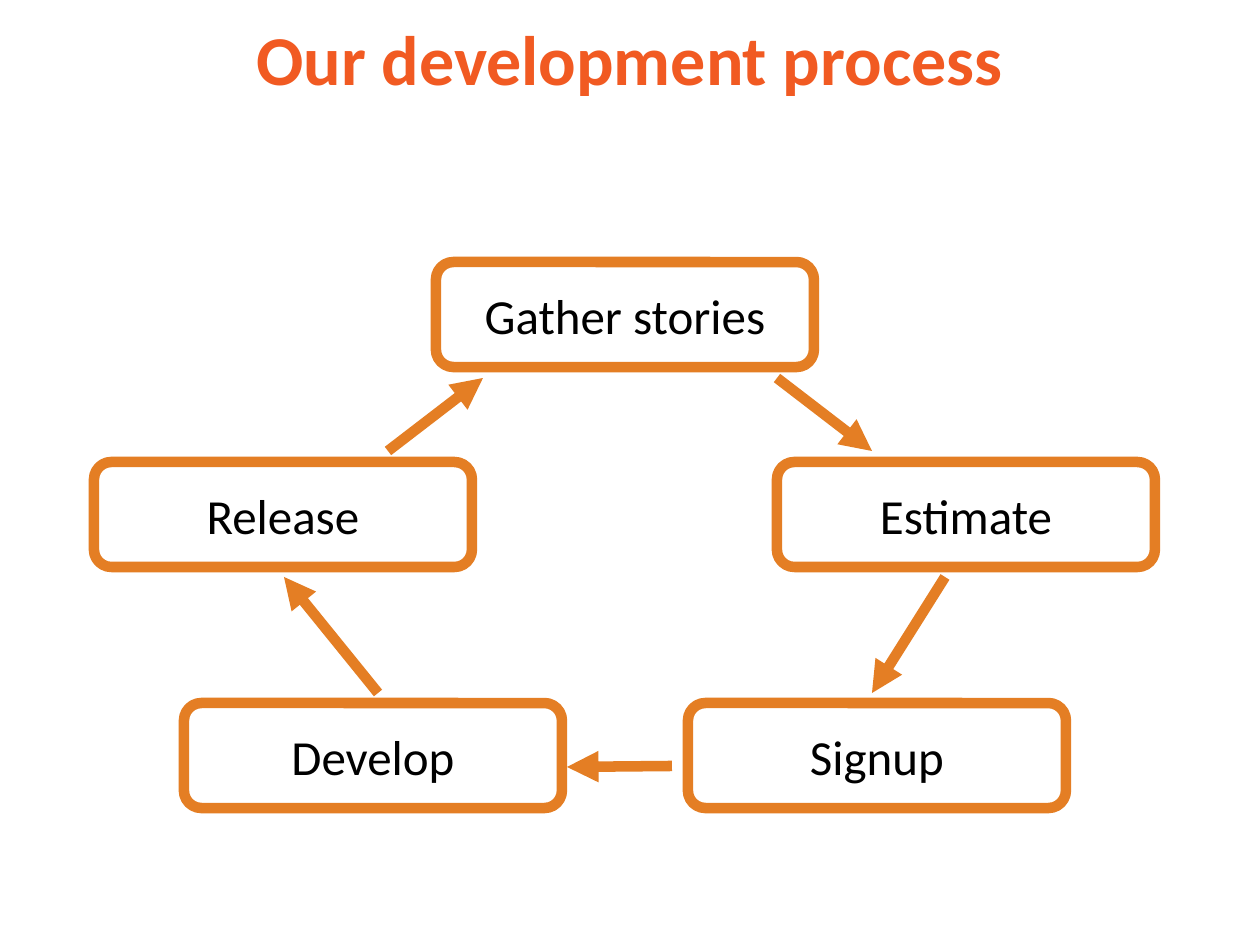
from lxml.etree import SubElement
from pptx import Presentation
from pptx.dml.color import RGBColor
from pptx.enum.shapes import MSO_CONNECTOR, MSO_SHAPE
from pptx.enum.text import MSO_ANCHOR, PP_ALIGN
from pptx.oxml.ns import qn
from pptx.util import Emu, Inches, Pt

TITLE_COLOR = RGBColor(0xF1, 0x5A, 0x22)
ORANGE = RGBColor(0xE4, 0x7E, 0x24)
BLACK = RGBColor(0x00, 0x00, 0x00)
PX_PER_INCH = 126
STEP_W, STEP_H = 378, 105
STEPS = [
    ("Gather stories", 436, 262),
    ("Estimate", 777, 462),
    ("Signup", 688, 703),
    ("Develop", 184, 703),
    ("Release", 94, 462),
]
ARROWS = [
    (777, 378, 872, 451),
    (945, 577, 872, 693),
    (672, 766, 567, 767),
    (378, 693, 284, 577),
    (388, 451, 483, 378),
]


def px(n):
    """Convert pixels to EMU."""
    return Emu(round(n * Inches(1) / PX_PER_INCH))


def set_attrs(target, values):
    """Set every named attribute on the target."""
    for name, value in values.items():
        setattr(target, name, value)


def set_text(shape, text, size, color, bold, margins, wrap):
    """Write one centred line of text into the shape."""
    tf = shape.text_frame
    tf.text = text
    mx, my = px(margins[0]), px(margins[1])
    set_attrs(tf, {"word_wrap": wrap, "vertical_anchor": MSO_ANCHOR.MIDDLE,
                   "margin_left": mx, "margin_right": mx,
                   "margin_top": my, "margin_bottom": my})
    p = tf.paragraphs[0]
    p.alignment = PP_ALIGN.CENTER
    font = p.runs[0].font
    set_attrs(font, {"name": "Calibri", "size": Pt(size), "bold": bold})
    font.color.rgb = color


def set_line(line):
    """Apply the thick orange stroke."""
    line.width = Pt(6)
    line.color.rgb = ORANGE


def add_title(s, text):
    """Place and format the title placeholder."""
    title = s.shapes.title
    set_attrs(title, {"left": px(50), "top": px(0),
                      "width": px(1159), "height": px(116)})
    set_text(title, text, 40, TITLE_COLOR, True, (4, 4), True)


def add_step(s, text, x, y):
    """Add one rounded process step."""
    sp = s.shapes.add_shape(MSO_SHAPE.ROUNDED_RECTANGLE,
                            px(x), px(y), px(STEP_W), px(STEP_H))
    sp.shadow.inherit = False
    sp.fill.background()
    set_line(sp.line)
    set_text(sp, text, 28, BLACK, False, (13, 6), False)


def add_arrow(s, *ends):
    """Add one arrow between two points."""
    arrow = s.shapes.add_connector(MSO_CONNECTOR.STRAIGHT, *map(px, ends))
    set_line(arrow.line)
    props = arrow.element.find(qn("p:spPr"))
    SubElement(props.find(qn("a:ln")), qn("a:tailEnd"), type="triangle")
    SubElement(props, qn("a:effectLst"))


def main():
    """Build and save the process slide."""
    prs = Presentation()
    set_attrs(prs, {"slide_width": Inches(10), "slide_height": Inches(7.5)})
    s = prs.slides.add_slide(prs.slide_layouts[5])
    add_title(s, "Our development process")
    for step in STEPS:
        add_step(s, *step)
    for ends in ARROWS:
        add_arrow(s, *ends)
    prs.save("out.pptx")


if __name__ == "__main__":
    main()
